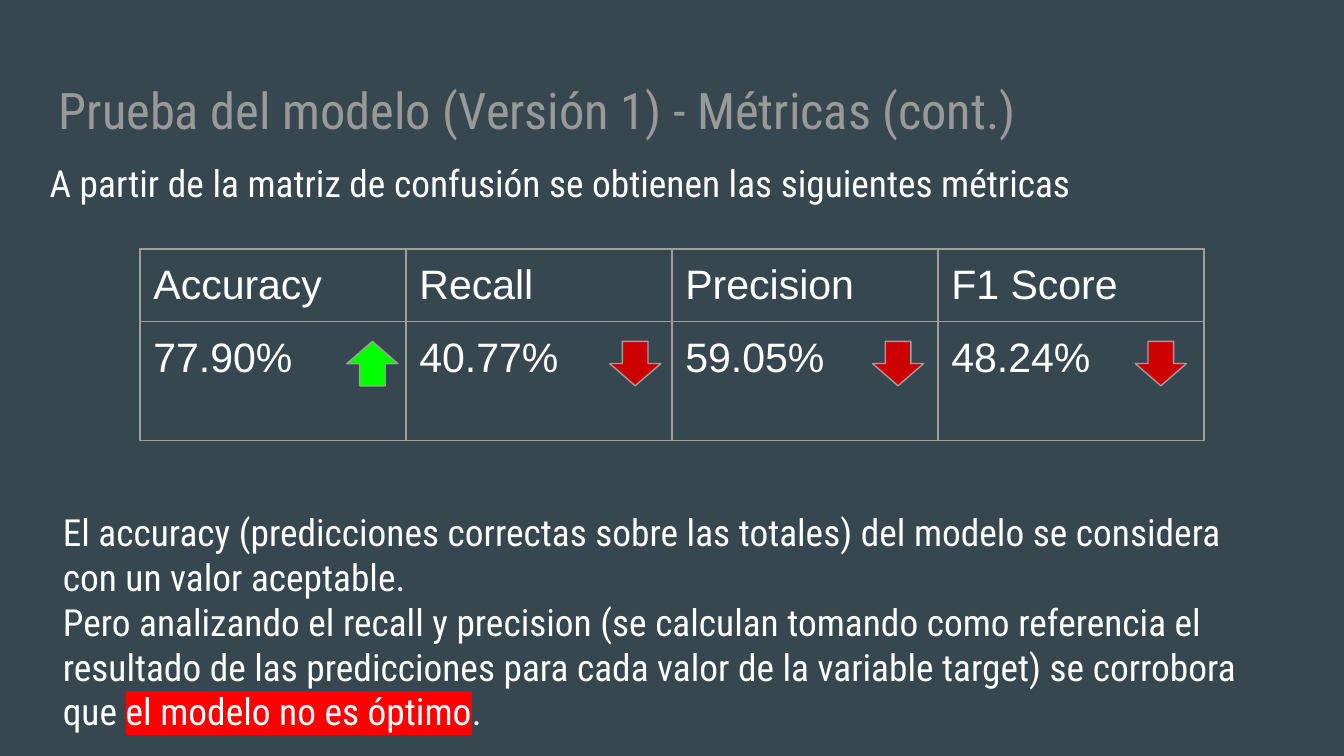
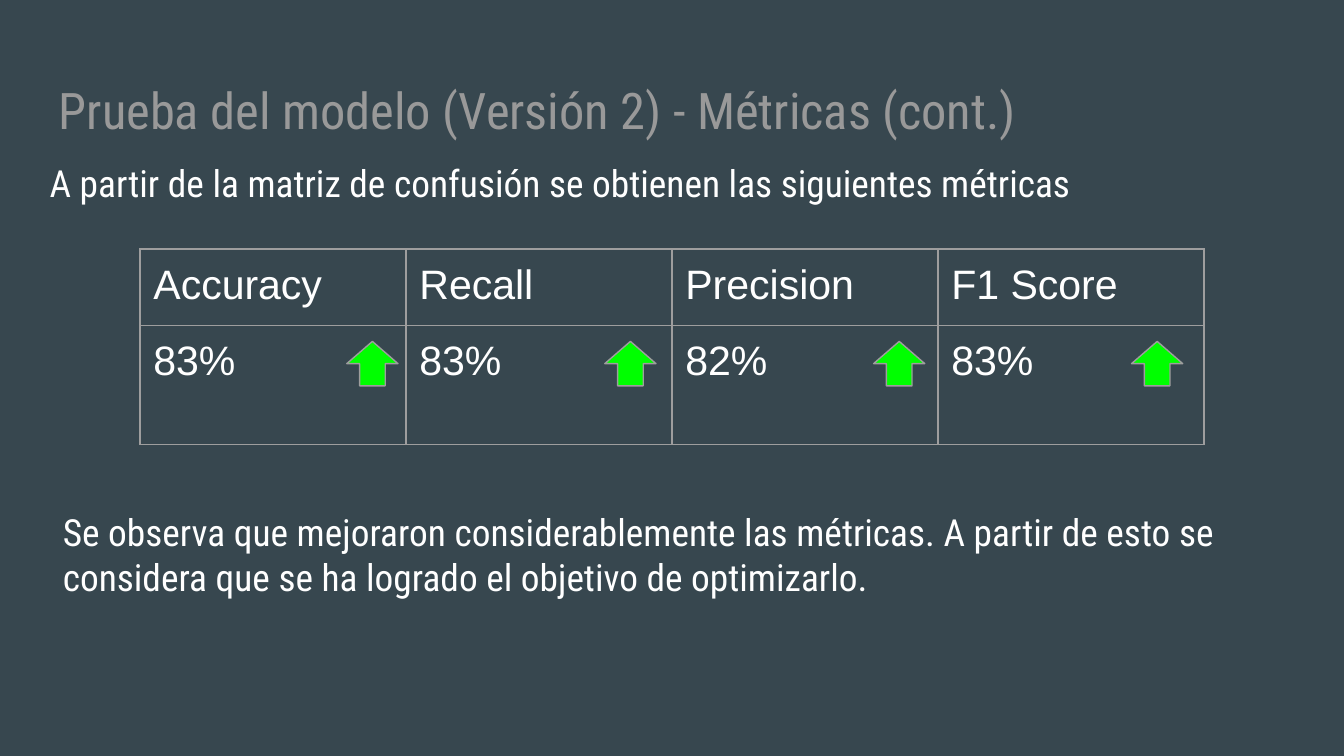
from dataclasses import dataclass

from lxml.etree import SubElement
from pptx import Presentation
from pptx.dml.color import RGBColor
from pptx.enum.shapes import MSO_SHAPE
from pptx.enum.text import MSO_ANCHOR, MSO_AUTO_SIZE
from pptx.oxml.ns import qn
from pptx.slide import Slide
from pptx.table import _Cell
from pptx.text.text import TextFrame
from pptx.util import Pt

COLORS = {
    "background": "37474F",
    "title": "999999",
    "text": "FFFFFF",
    "border": "9E9E9E",
    "good": "00FF00",
    "bad": "CC0000",
    "warning": "FF0000",
}
HEADING_FONT = "Roboto Condensed"
TABLE_FONT = "Arial"
INSET = 7.2
BORDER_WIDTH = 0.75
TABLE_LEFT, TABLE_TOP = 75, 133.4
COLUMN_WIDTH = 142.5
ROW_HEIGHTS = (38.5, 63.75)
ARROW_TOP, ARROW_WIDTH, ARROW_HEIGHT = 182.9, 27.4, 23.8


@dataclass(frozen=True)
class Span:
    text: str
    highlight: str | None = None


@dataclass(frozen=True)
class Metric:
    name: str
    value: str
    good: bool
    arrow_left: float


@dataclass(frozen=True)
class ModelTest:
    version: int
    metrics: list[Metric]
    conclusion: list[list[Span]]
    conclusion_height: float


def rgb(color: str) -> RGBColor:
    return RGBColor.from_string(COLORS[color])


def write(frame: TextFrame, paragraphs: list[list[Span]], *, size: float,
          font: str = HEADING_FONT, color: str = "text",
          line_spacing: float | None = None) -> None:
    for index, spans in enumerate(paragraphs):
        paragraph = frame.paragraphs[0] if index == 0 else frame.add_paragraph()
        if line_spacing:
            paragraph.line_spacing = line_spacing
        for span in spans:
            run = paragraph.add_run()
            run.text = span.text
            run.font.size = Pt(size)
            run.font.name = font
            run.font.color.rgb = rgb(color)
            if span.highlight:
                properties = run.font._element
                highlight = SubElement(properties, qn("a:highlight"))
                SubElement(highlight, qn("a:srgbClr"), val=COLORS[span.highlight])
                properties.find(qn("a:solidFill")).addnext(highlight)


def add_text_box(slide: Slide, left: float, top: float, width: float,
                 height: float, *, grow: bool = False) -> TextFrame:
    frame = slide.shapes.add_textbox(Pt(left), Pt(top), Pt(width), Pt(height)).text_frame
    frame.word_wrap = True
    frame.auto_size = MSO_AUTO_SIZE.SHAPE_TO_FIT_TEXT if grow else MSO_AUTO_SIZE.NONE
    frame.vertical_anchor = MSO_ANCHOR.TOP
    frame.margin_left = frame.margin_right = Pt(INSET)
    frame.margin_top = frame.margin_bottom = Pt(INSET)
    return frame


def outline_cell(cell: _Cell) -> None:
    cell.margin_left = cell.margin_right = Pt(INSET)
    cell.margin_top = cell.margin_bottom = Pt(INSET)
    properties = cell._tc.get_or_add_tcPr()
    for side in ("lnL", "lnR", "lnT", "lnB"):
        line = SubElement(properties, qn(f"a:{side}"), w=str(Pt(BORDER_WIDTH)))
        fill = SubElement(line, qn("a:solidFill"))
        SubElement(fill, qn("a:srgbClr"), val=COLORS["border"])
    cell.fill.background()


def add_metrics_table(slide: Slide, metrics: list[Metric]) -> None:
    table = slide.shapes.add_table(
        len(ROW_HEIGHTS), len(metrics), Pt(TABLE_LEFT), Pt(TABLE_TOP),
        Pt(COLUMN_WIDTH * len(metrics)), Pt(sum(ROW_HEIGHTS))).table
    table.first_row = table.horz_banding = False
    for row, height in zip(table.rows, ROW_HEIGHTS):
        row.height = Pt(height)
    for column, metric in enumerate(metrics):
        table.columns[column].width = Pt(COLUMN_WIDTH)
        for row, label in enumerate((metric.name, metric.value)):
            cell = table.cell(row, column)
            outline_cell(cell)
            write(cell.text_frame, [[Span(label)]], size=22, font=TABLE_FONT)


def add_trend_arrow(slide: Slide, metric: Metric) -> None:
    arrow = slide.shapes.add_shape(
        MSO_SHAPE.DOWN_ARROW, Pt(metric.arrow_left), Pt(ARROW_TOP),
        Pt(ARROW_WIDTH), Pt(ARROW_HEIGHT))
    arrow.rotation = 180 if metric.good else 0
    arrow.shadow.inherit = False
    arrow.fill.solid()
    arrow.fill.fore_color.rgb = rgb("good" if metric.good else "bad")
    arrow.line.color.rgb = rgb("border")
    arrow.line.width = Pt(BORDER_WIDTH)


def add_test_slide(deck: Presentation, test: ModelTest) -> None:
    slide = deck.slides.add_slide(deck.slide_layouts[6])
    slide.background.fill.solid()
    slide.background.fill.fore_color.rgb = rgb("background")
    title = f"Prueba del modelo (Versión {test.version}) - Métricas (cont.)"
    write(add_text_box(slide, 24.5, 35.3, 671, 45.4), [[Span(title)]],
          size=27, color="title")
    introduction = "A partir de la matriz de confusión se obtienen las siguientes métricas"
    write(add_text_box(slide, 19.5, 74.9, 671, 180), [[Span(introduction)]],
          size=20, line_spacing=1.15)
    add_metrics_table(slide, test.metrics)
    for metric in test.metrics:
        add_trend_arrow(slide, metric)
    write(add_text_box(slide, 26.6, 265.7, 656, test.conclusion_height, grow=True),
          test.conclusion, size=20)


TESTS = [
    ModelTest(
        1,
        [Metric("Accuracy", "77.90%", True, 185.8),
         Metric("Recall", "40.77%", False, 326.6),
         Metric("Precision", "59.05%", False, 467.4),
         Metric("F1 Score", "48.24%", False, 608.2)],
        [[Span("El accuracy (predicciones correctas sobre las totales) del modelo "
               "se considera con un valor aceptable.")],
         [Span("Pero analizando el recall y precision (se calculan tomando como "
               "referencia el resultado de las predicciones para cada valor de la "
               "variable target) se corrobora que "),
          Span("el modelo no es óptimo", "warning"),
          Span(".")]],
        136),
    ModelTest(
        2,
        [Metric("Accuracy", "83%", True, 185.8),
         Metric("Recall", "83%", True, 324),
         Metric("Precision", "82%", True, 468),
         Metric("F1 Score", "83%", True, 606.2)],
        [[Span("Se observa que mejoraron considerablemente las métricas. A partir de "
               "esto se considera que se ha logrado el objetivo de optimizarlo.")]],
        87),
]

presentation = Presentation()
presentation.slide_width = Pt(720)
presentation.slide_height = Pt(405)
for model_test in TESTS:
    add_test_slide(presentation, model_test)
presentation.save("out.pptx")
